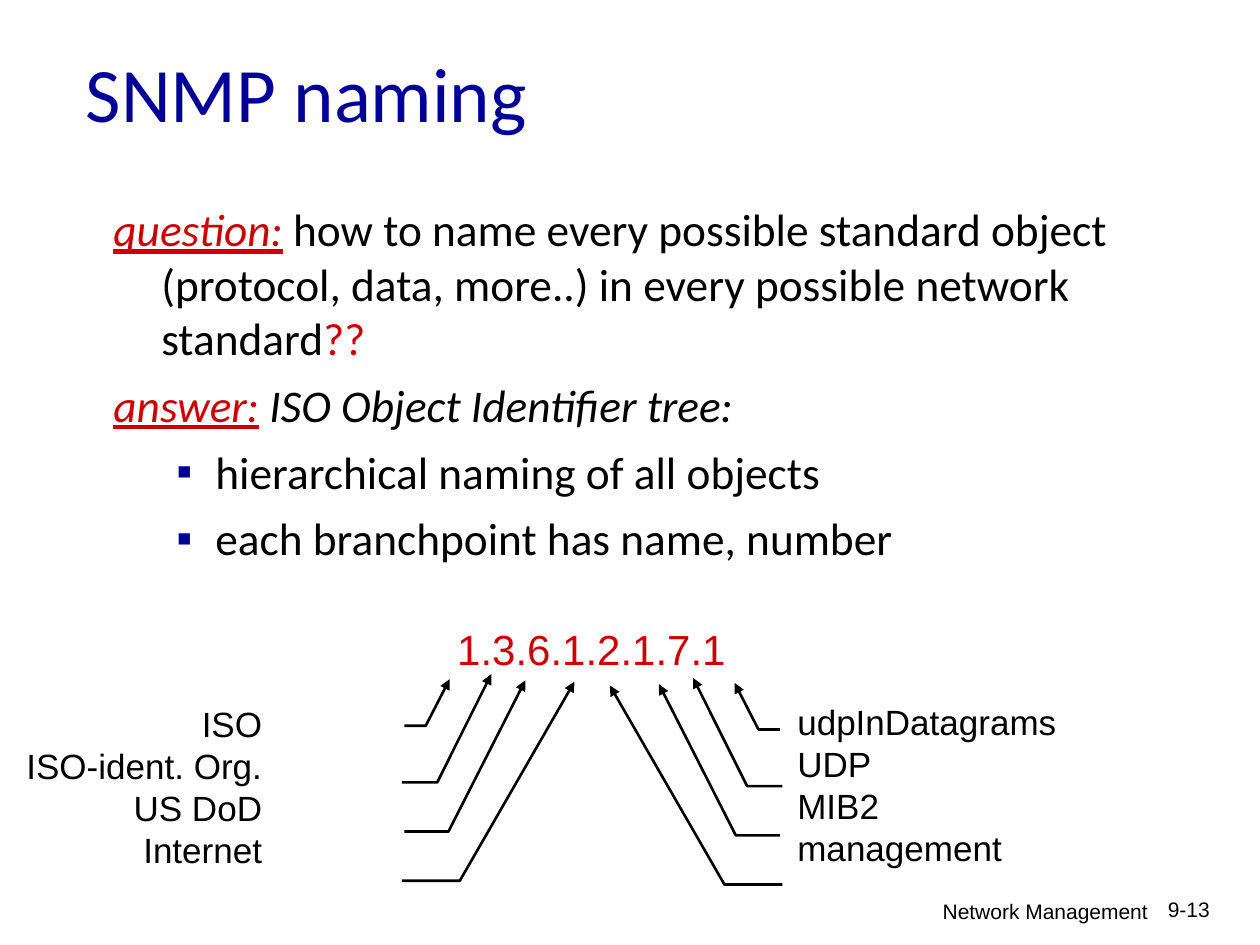
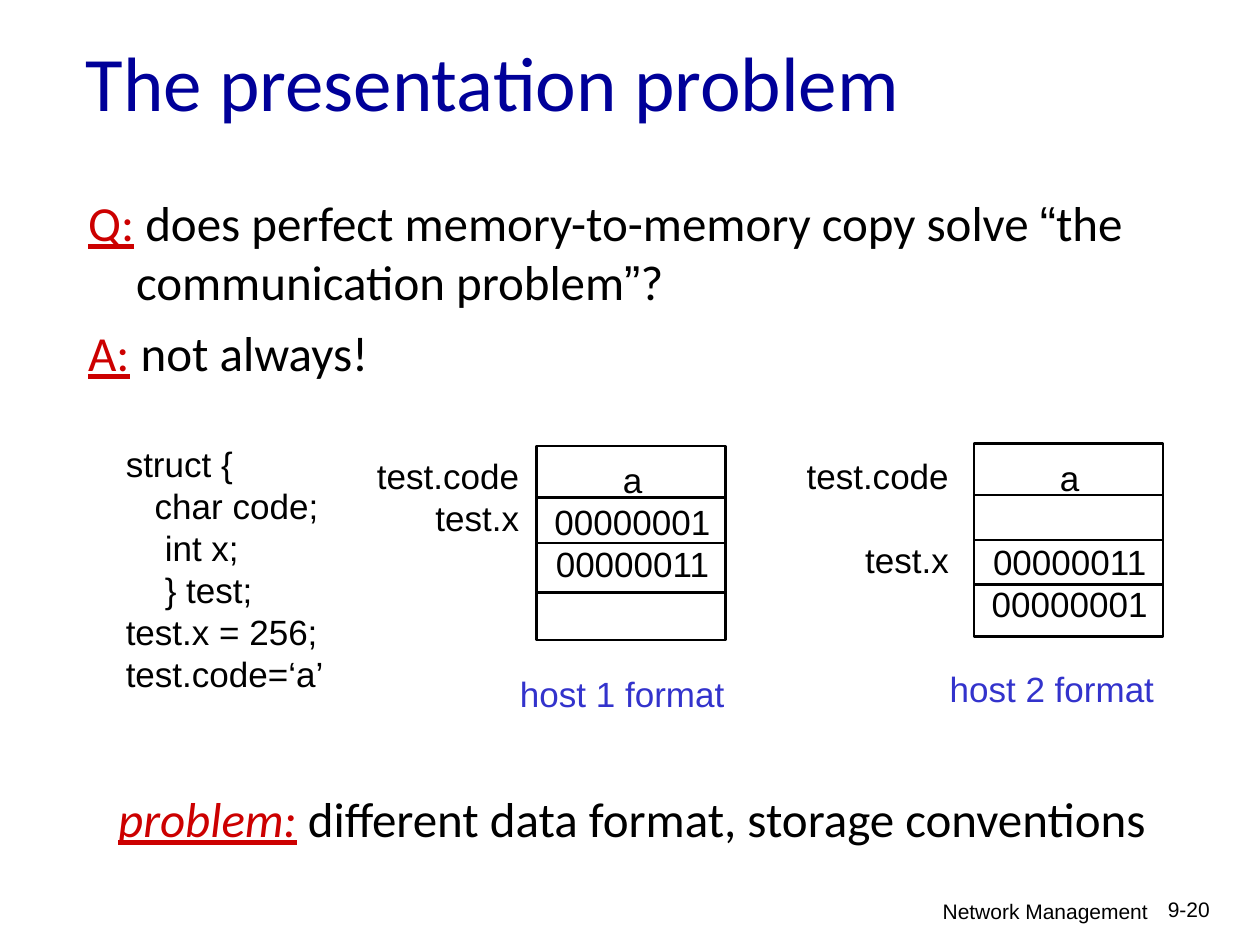
from lxml import etree
from pptx import Presentation
from pptx.dml.color import RGBColor
from pptx.enum.shapes import MSO_CONNECTOR, MSO_SHAPE
from pptx.enum.text import MSO_ANCHOR, MSO_AUTO_SIZE, PP_ALIGN
from pptx.oxml.ns import qn
from pptx.util import Inches, Pt

LEFT, CENTER, RIGHT = PP_ALIGN.LEFT, PP_ALIGN.CENTER, PP_ALIGN.RIGHT
MIDDLE, TOP = MSO_ANCHOR.MIDDLE, MSO_ANCHOR.TOP
NO_FIT = MSO_AUTO_SIZE.NONE
STRAIGHT, RECTANGLE = MSO_CONNECTOR.STRAIGHT, MSO_SHAPE.RECTANGLE

NAVY = RGBColor(0x00, 0x00, 0x99)
BLUE = RGBColor(0x33, 0x33, 0xCC)
RED = RGBColor(0xCC, 0x00, 0x00)
BLACK = RGBColor(0x00, 0x00, 0x00)
WHITE = RGBColor(0xFF, 0xFF, 0xFF)

HEAD_FONT, LABEL_FONT = "Calibri", "Arial"
LINE_WIDTH = Pt(1.5)
LABEL_PITCH = Pt(24)
MIRROR_SUM, MIRROR_DROP = 9.4, 0.03


def place(sp, left, top, width, height):
    sp.left, sp.top = Inches(left), Inches(top)
    sp.width, sp.height = Inches(width), Inches(height)


def add_run(p, text, size, color=BLACK, font=HEAD_FONT, italic=False, underline=False):
    r = p.add_run()
    r.text = text
    r.font.size, r.font.name = Pt(size), font
    r.font.color.rgb = color
    r.font.italic, r.font.underline = italic, underline


def add_keyword(p, text, size, italic=False):
    add_run(p, text, size, RED, italic=italic, underline=True)
    add_run(p, " ", size, RED)


def next_paragraph(tf):
    return tf.add_paragraph() if tf.paragraphs[0].runs else tf.paragraphs[0]


def set_indent(p, margin, hanging=0):
    pPr = p._p.get_or_add_pPr()
    pPr.set("marL", str(Inches(margin)))
    pPr.set("indent", str(-Inches(hanging)))
    return pPr


def add_hanging(tf):
    p = next_paragraph(tf)
    p.space_before = Pt(7)
    etree.SubElement(set_indent(p, 0.38, 0.38), qn("a:buNone"))
    return p


def add_bullet(tf, text, size):
    p = next_paragraph(tf)
    p.level = 1
    p.space_before = Pt(7)
    pPr = set_indent(p, 0.81, 0.31)
    color = etree.SubElement(pPr, qn("a:buClr"))
    etree.SubElement(color, qn("a:srgbClr"), val=str(NAVY))
    etree.SubElement(pPr, qn("a:buFont"), typeface=LABEL_FONT)
    etree.SubElement(pPr, qn("a:buChar"), char="▪")
    add_run(p, text, size)


def add_box(slide, left, top, width, height, wrap=False):
    sp = slide.shapes.add_textbox(*map(Inches, (left, top, width, height)))
    sp.text_frame.word_wrap = wrap
    return sp.text_frame


def add_label(slide, box, lines, align=LEFT, size=20, color=BLACK, wrap=False,
              indents=None, skip_before=None):
    tf = add_box(slide, *box, wrap=wrap)
    for i, text in enumerate(lines):
        p = next_paragraph(tf)
        p.alignment = align
        if len(lines) > 1:
            p.line_spacing = LABEL_PITCH
        if i == skip_before:
            p.space_before = LABEL_PITCH
        if indents and indents[i]:
            set_indent(p, indents[i])
        add_run(p, text, size, color, LABEL_FONT)


def add_slide(prs, title, title_top, title_height, body_box, number):
    slide = prs.slides.add_slide(prs.slide_layouts[1])
    place(slide.shapes.title, 0.58, title_top, 8.5, title_height)
    tf = slide.shapes.title.text_frame
    tf.auto_size, tf.vertical_anchor = NO_FIT, MIDDLE
    tf.paragraphs[0].alignment = LEFT
    add_run(tf.paragraphs[0], title, 44, NAVY)
    body = slide.placeholders[1]
    place(body, *body_box)
    body.text_frame.auto_size, body.text_frame.vertical_anchor = NO_FIT, TOP
    add_label(slide, (6.04, 7.08, 3.17, 0.32), ["Network Management"], RIGHT, 12, wrap=True)
    add_label(slide, (9.05, 7.07, 0.65, 0.36), [number], RIGHT, 12, wrap=True)
    return slide, body.text_frame


def style_line(sp):
    sp.line.color.rgb = BLACK
    sp.line.width = LINE_WIDTH


def add_bent_arrow(slide, points):
    start, *ends = [(Inches(x), Inches(y)) for x, y in points]
    builder = slide.shapes.build_freeform(*start)
    builder.add_line_segments(ends, close=False)
    sp = builder.convert_to_shape()
    sp.shadow.inherit = False
    sp.fill.background()
    style_line(sp)
    etree.SubElement(sp.line._get_or_add_ln(), qn("a:tailEnd"), type="triangle")


def add_divider(slide, left, right, y):
    line = slide.shapes.add_connector(
        STRAIGHT, Inches(left), Inches(y), Inches(right), Inches(y))
    style_line(line)
    etree.SubElement(line._element.spPr, qn("a:effectLst"))
    return line


def add_memory(slide, left, top, height, cells, upper, lower, skip_before=None):
    width = 1.5
    sp = slide.shapes.add_shape(RECTANGLE, *map(Inches, (left, top, width, height)))
    sp.shadow.inherit = False
    sp.fill.solid()
    sp.fill.fore_color.rgb = WHITE
    style_line(sp)
    rows = len(cells) + (skip_before is not None)
    add_label(slide, (left + 0.04, top + 0.05, 1.44, 0.1 + rows / 3), cells, CENTER,
              skip_before=skip_before)
    for y in (upper, lower):
        add_divider(slide, left, left + width, y)
    middle = add_divider(slide, left, left + width, top + height / 2)
    middle.begin_connect(sp, 1)
    middle.end_connect(sp, 3)


def build_naming(prs):
    slide, tf = add_slide(prs, "SNMP naming", 0.19, 1.07, (0.8, 1.55, 8.78, 3.04), "9-13")
    size = 25.9
    p = add_hanging(tf)
    add_keyword(p, "question:", size, italic=True)
    add_run(p, "how to name every possible standard object (protocol, data, more..) "
               "in every possible network standard", size)
    add_run(p, "??", size, RED)
    p = add_hanging(tf)
    add_keyword(p, "answer:", size, italic=True)
    add_run(p, "ISO Object Identifier tree:", size, italic=True)
    for text in ("hierarchical naming of all objects", "each branchpoint has name, number"):
        add_bullet(tf, text, size)

    add_label(slide, (3.53, 4.9, 2.33, 0.5), ["1.3.6.1.2.1.7.1"], CENTER, 24, RED)
    add_label(slide, (0.11, 5.53, 2.07, 1.44),
              ["ISO", "ISO-ident. Org.", "US DoD", "Internet"], RIGHT)
    add_label(slide, (6.23, 5.51, 2.26, 1.44),
              ["udpInDatagrams", "UDP", "MIB2", "management"])
    arrows = [
        [(3.21, 5.76), (3.38, 5.76), (3.57, 5.39)],
        [(3.19, 6.21), (3.47, 6.21), (3.9, 5.35)],
        [(3.21, 6.6), (3.56, 6.6), (4.17, 5.4)],
        [(3.19, 6.99), (3.65, 6.99), (4.56, 5.41)],
    ]
    for points in arrows:
        add_bent_arrow(slide, points)
        add_bent_arrow(slide, [(MIRROR_SUM - x, y + MIRROR_DROP) for x, y in points])


def build_presentation_problem(prs):
    slide, tf = add_slide(prs, "The presentation problem", 0.12, 1.04,
                          (0.6, 1.48, 8.5, 1.68), "9-20")
    size = 28
    p = add_hanging(tf)
    add_keyword(p, "Q:", size)
    add_run(p, "does perfect memory-to-memory copy solve ", size)
    add_run(p, "“", size, font=LABEL_FONT)
    add_run(p, "the communication problem", size)
    add_run(p, "”", size, font=LABEL_FONT)
    add_run(p, "?", size)
    p = add_hanging(tf)
    add_keyword(p, "A:", size)
    add_run(p, "not always!", size)

    p = add_hanging(add_box(slide, 0.84, 6.21, 8.5, 0.62, wrap=True))
    add_keyword(p, "problem:", size, italic=True)
    add_run(p, "different data format, storage conventions", size)

    add_label(slide, (0.9, 3.46, 1.77, 2.1),
              ["struct {", "char code;", "int x;", "} test;", "test.x = 256;", "test.code=‘a’"],
              indents=(0, 0.23, 0.31, 0.31, 0, 0))
    add_memory(slide, 4.26, 3.54, 1.54, ["a", "00000001", "00000011"], 3.95, 4.7)
    add_memory(slide, 7.73, 3.52, 1.53, ["a", "00000011", "00000001"], 3.93, 4.64,
               skip_before=1)
    fields = ["test.code", "test.x"]
    add_label(slide, (2.89, 3.56, 1.33, 0.77), fields, RIGHT)
    add_label(slide, (6.3, 3.56, 1.33, 1.1), fields, RIGHT, skip_before=1)
    add_label(slide, (3.95, 5.29, 1.9, 0.44), ["host 1 format"], RIGHT, color=BLUE)
    add_label(slide, (7.36, 5.25, 1.9, 0.44), ["host 2 format"], RIGHT, color=BLUE)


def main():
    prs = Presentation()
    prs.slide_width, prs.slide_height = Inches(10), Inches(7.5)
    build_naming(prs)
    build_presentation_problem(prs)
    prs.save("out.pptx")


if __name__ == "__main__":
    main()
